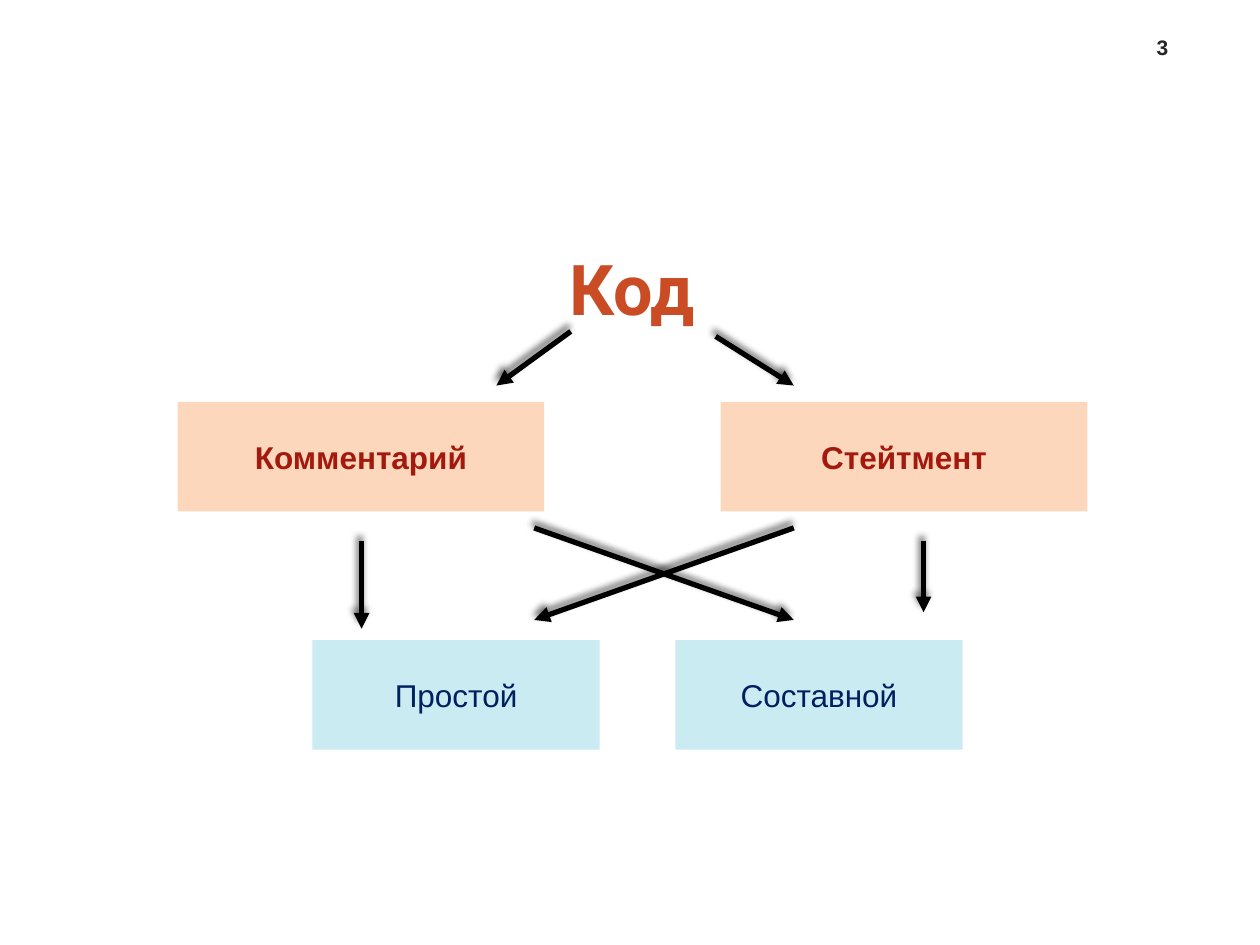
from dataclasses import dataclass

from lxml.etree import SubElement
from pptx import Presentation
from pptx.dml.color import RGBColor
from pptx.enum.shapes import MSO_CONNECTOR, MSO_SHAPE
from pptx.enum.text import MSO_ANCHOR, PP_ALIGN
from pptx.oxml import parse_xml
from pptx.oxml.ns import nsdecls, qn
from pptx.util import Inches, Pt

BOX_HEIGHT = 0.87
KIND_TOP, FORM_TOP = 3.19, 5.08
KIND_WIDTH, FORM_WIDTH = 2.91, 2.28
CROSS_LEFT, CROSS_RIGHT = 4.24, 6.3
CROSS_TOP, CROSS_BOTTOM = 4.19, 4.92


@dataclass(frozen=True)
class Box:
    label: str
    left: float
    top: float
    width: float
    fill: str
    color: str
    bold: bool


@dataclass(frozen=True)
class Arrow:
    start: tuple[float, float]
    end: tuple[float, float]


def rgb(value: str) -> RGBColor:
    return RGBColor.from_string(value)


def style_text(paragraph, font_name: str, size: float, color: str, bold: bool,
               align: PP_ALIGN = PP_ALIGN.CENTER) -> None:
    paragraph.alignment = align
    font = paragraph.font
    font.name = font_name
    font.size = Pt(size)
    font.bold = bold
    font.color.rgb = rgb(color)


def draw_box(slide, box: Box) -> None:
    rectangle = slide.shapes.add_shape(
        MSO_SHAPE.RECTANGLE, Inches(box.left), Inches(box.top),
        Inches(box.width), Inches(BOX_HEIGHT))
    rectangle.shadow.inherit = False
    rectangle.fill.solid()
    rectangle.fill.fore_color.rgb = rgb(box.fill)
    fill_color = rectangle.fill._xPr.find(qn("a:solidFill")).find(qn("a:srgbClr"))
    SubElement(fill_color, qn("a:alpha"), val="50000")
    rectangle.line.fill.background()
    frame = rectangle.text_frame
    frame.vertical_anchor = MSO_ANCHOR.MIDDLE
    frame.text = box.label
    style_text(frame.paragraphs[0], "Arial", 18, box.color, box.bold)


def draw_arrow(slide, arrow: Arrow) -> None:
    connector = slide.shapes.add_connector(
        MSO_CONNECTOR.STRAIGHT,
        *(Inches(length) for length in arrow.start + arrow.end))
    connector.line.color.rgb = rgb("000000")
    connector.line.width = Pt(3)
    SubElement(connector.line._get_or_add_ln(), qn("a:tailEnd"), type="triangle")
    connector._element.spPr.append(parse_xml(
        f'<a:effectLst {nsdecls("a")}>'
        f'<a:outerShdw blurRad="{Pt(4)}" dist="{Pt(3)}" dir="{245 * 60000}" rotWithShape="0">'
        '<a:srgbClr val="000000"><a:alpha val="60000"/></a:srgbClr>'
        '</a:outerShdw></a:effectLst>'))


def add_heading(slide, text: str) -> None:
    heading = slide.shapes.title
    heading.left, heading.top = Inches(4.32), Inches(1.62)
    heading.width, heading.height = Inches(1.35), Inches(1.33)
    frame = heading.text_frame
    frame.margin_left = frame.margin_right = 0
    frame.vertical_anchor = MSO_ANCHOR.MIDDLE
    frame.text = text
    paragraph = frame.paragraphs[0]
    paragraph._p.get_or_add_pPr().set("marL", str(Inches(0.2)))
    style_text(paragraph, "Roboto", 40, "C94C25", True, PP_ALIGN.LEFT)


def add_page_number(slide, number: int) -> None:
    page = slide.shapes.add_textbox(
        Inches(8.95), Inches(0.19), Inches(0.55), Inches(0.33))
    frame = page.text_frame
    frame.word_wrap = True
    frame.vertical_anchor = MSO_ANCHOR.BOTTOM
    frame.text = str(number)
    style_text(frame.paragraphs[0], "Arial", 12, "262626", True)


def kind_box(label: str, left: float) -> Box:
    return Box(label, left, KIND_TOP, KIND_WIDTH, "FAB17B", "A3190D", True)


def form_box(label: str, left: float) -> Box:
    return Box(label, left, FORM_TOP, FORM_WIDTH, "99D9E7", "002060", False)


BOXES = [
    kind_box("Комментарий", 1.41),
    kind_box("Стейтмент", 5.72),
    form_box("Простой", 2.48),
    form_box("Составной", 5.36),
]

ARROWS = [
    Arrow((4.53, 2.63), (3.94, 3.06)),
    Arrow((5.68, 2.67), (6.3, 3.06)),
    Arrow((2.87, 4.29), (2.87, 4.99)),
    Arrow((7.33, 4.29), (7.33, 4.86)),
    Arrow((CROSS_RIGHT, CROSS_TOP), (CROSS_LEFT, CROSS_BOTTOM)),
    Arrow((CROSS_LEFT, CROSS_TOP), (CROSS_RIGHT, CROSS_BOTTOM)),
]


def main() -> None:
    presentation = Presentation()
    presentation.slide_width = Inches(10)
    presentation.slide_height = Inches(7.5)
    slide = presentation.slides.add_slide(presentation.slide_layouts[5])
    add_heading(slide, "Код")
    add_page_number(slide, 3)
    for box in BOXES:
        draw_box(slide, box)
    for arrow in ARROWS:
        draw_arrow(slide, arrow)
    presentation.save("out.pptx")


if __name__ == "__main__":
    main()
